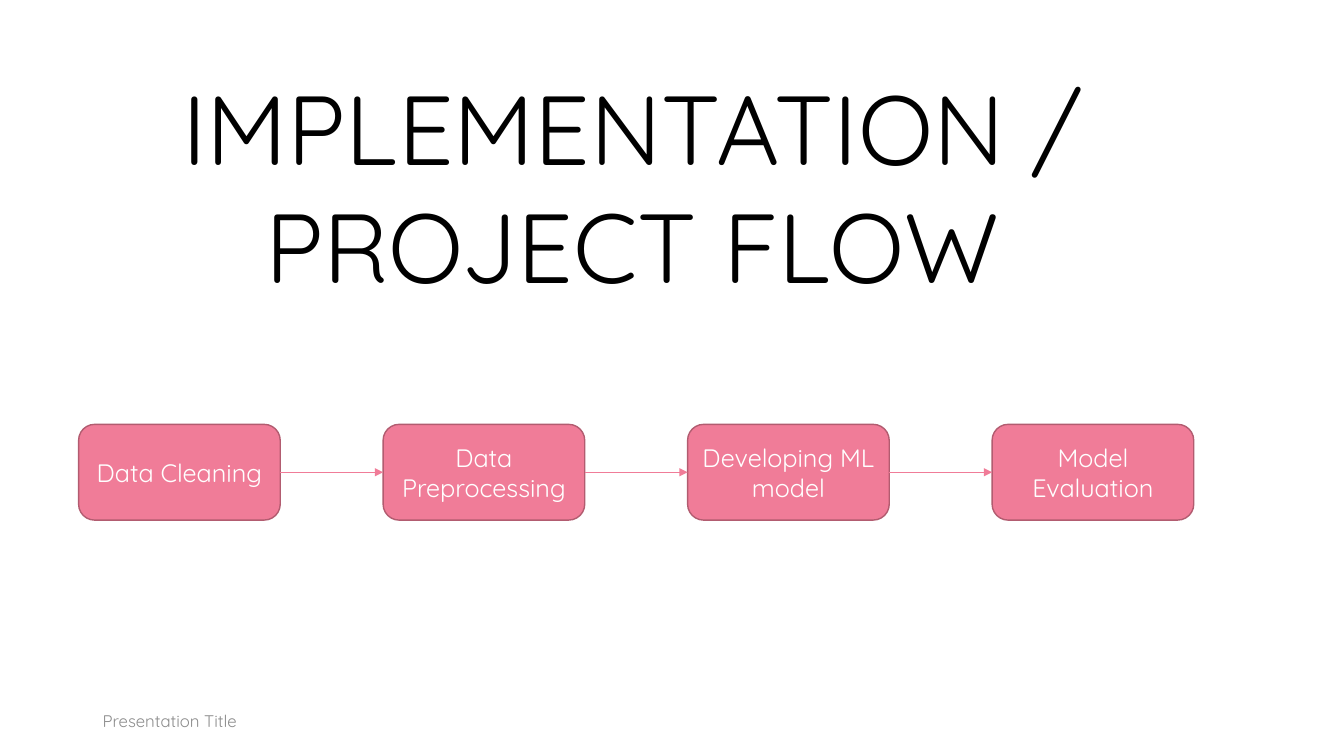
import pptx
import pptx.util
import pptx.dml.color
import pptx.enum.shapes
import pptx.enum.text
import pptx.oxml
import pptx.oxml.ns

COLORS = {
    "title": "000000",
    "footer": "8C8C8C",
    "step": "F07C98",
    "step_edge": "B25C70",
    "step_text": "FFFFFF",
}
FONT = "Quicksand"
STEPS = ["Data Cleaning", "Data Preprocessing", "Developing ML model", "Model Evaluation"]
STEP_WIDTH = 2

ALIGN = pptx.enum.text.PP_ALIGN
ANCHOR = pptx.enum.text.MSO_ANCHOR
inches = pptx.util.Inches


def rgb(name):
    return pptx.dml.color.RGBColor.from_string(COLORS[name])


def write(tf, text, size, color, align, anchor):
    tf.word_wrap = True
    tf.vertical_anchor = anchor
    p = tf.paragraphs[0]
    p.alignment = align
    r = p.add_run()
    r.text = text
    r.font.size = pptx.util.Pt(size)
    r.font.name = FONT
    r.font.color.rgb = rgb(color)


def add_title(slide, box, text):
    sp = slide.shapes.title
    sp.left, sp.top, sp.width, sp.height = map(inches, box)
    sp.text_frame.auto_size = pptx.enum.text.MSO_AUTO_SIZE.SHAPE_TO_FIT_TEXT
    write(sp.text_frame, text, 70, "title", ALIGN.CENTER, ANCHOR.TOP)


def add_footer(slide, box, text):
    sp = slide.shapes.add_textbox(*map(inches, box))
    write(sp.text_frame, text, 12, "footer", ALIGN.LEFT, ANCHOR.MIDDLE)


def add_step(slide, box, text):
    sp = slide.shapes.add_shape(
        pptx.enum.shapes.MSO_SHAPE.ROUNDED_RECTANGLE, *map(inches, box))
    sp.shadow.inherit = False
    sp.fill.solid()
    sp.fill.fore_color.rgb = rgb("step")
    sp.line.color.rgb = rgb("step_edge")
    sp.line.width = pptx.util.Pt(1)
    write(sp.text_frame, text, 18, "step_text", ALIGN.CENTER, ANCHOR.MIDDLE)
    return sp


def add_arrow(slide, start, end):
    cxn = slide.shapes.add_connector(
        pptx.enum.shapes.MSO_CONNECTOR.STRAIGHT, 0, 0, 0, 0)
    cxn.begin_connect(start, 3)
    cxn.end_connect(end, 1)
    cxn.line.color.rgb = rgb("step")
    cxn.line.width = pptx.util.Pt(0.5)
    ln = cxn.line._get_or_add_ln()
    tail = pptx.oxml.parse_xml(
        "<a:tailEnd %s type='triangle'/>" % pptx.oxml.ns.nsdecls("a"))
    ln.append(tail)
    effects = pptx.oxml.parse_xml("<a:effectLst %s/>" % pptx.oxml.ns.nsdecls("a"))
    ln.addnext(effects)


def add_flow(slide, box, labels):
    left, top, width, height = box
    pitch = (width - STEP_WIDTH) / (len(labels) - 1)
    steps = [add_step(slide, (left + i * pitch, top, STEP_WIDTH, height), label)
             for i, label in enumerate(labels)]
    for start, end in zip(steps, steps[1:]):
        add_arrow(slide, start, end)


def main():
    prs = pptx.Presentation()
    prs.slide_width = inches(13.33)
    prs.slide_height = inches(7.5)
    slide = prs.slides.add_slide(prs.slide_layouts[5])
    add_footer(slide, (0.92, 6.95, 4.5, 0.4), "Presentation Title")
    add_flow(slide, (0.78, 4.21, 11.06, 0.95), STEPS)
    add_title(slide, (1.01, 0.62, 10.52, 2.46), "IMPLEMENTATION / PROJECT FLOW")
    prs.save("out.pptx")


if __name__ == "__main__":
    main()
